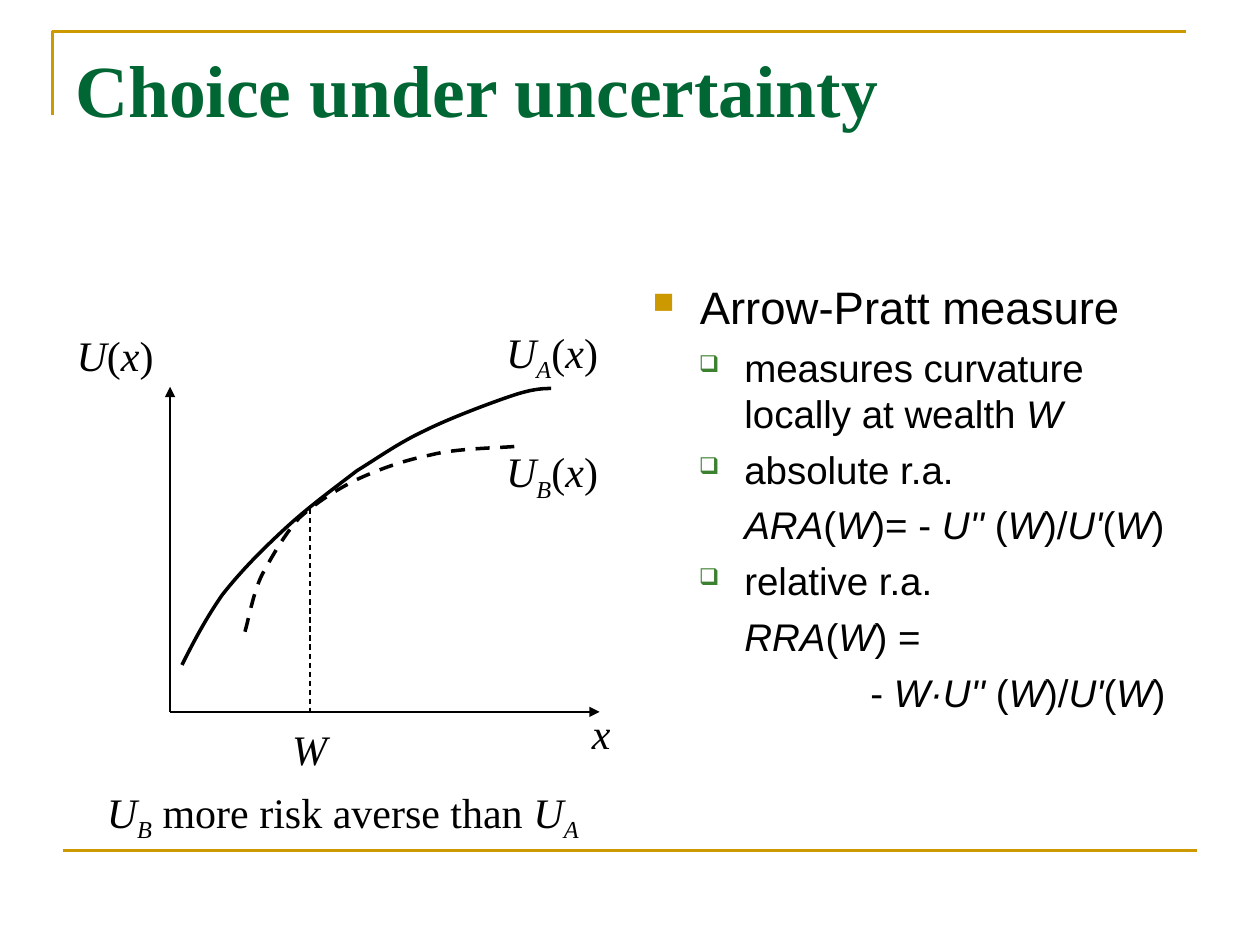
import pptx
import pptx.util
import pptx.dml.color
import pptx.enum.dml
import pptx.enum.shapes
import pptx.oxml
import pptx.oxml.ns
from pptx.util import Pt

GOLD, GREEN, BULLET_GREEN, BLACK = "CC9900", "006633", "3B812F", "000000"
SERIF, SANS = "Times New Roman", "Arial"

CURVE_A = [(67.7, 200.2), (74.9, 186.5), (82.1, 172.8), (91.4, 159.8),
           (101.5, 146.2), (114.5, 133.9), (127.4, 121.7),
           (139.7, 110.2), (154.8, 98.6), (167.8, 89.3),
           (180.7, 80.6), (191.5, 73.4), (206.6, 66.2),
           (221, 59), (244.8, 49.7), (257, 46.1),
           (269.3, 41.8), (275, 42.5), (279.4, 41.8)]
CURVE_B = [(103.7, 180.7), (106.6, 169.9), (108.7, 158.4), (114.5, 147.6),
           (119.5, 136.8), (126.7, 125.3), (135.4, 115.9),
           (144.7, 107.3), (155.5, 100.1), (167.8, 93.6),
           (180.7, 87.8), (195.1, 82.8), (210.2, 79.9),
           (225.4, 76.3), (250.6, 75.6), (259.2, 74.9)]
LABELS = [("*x*", 295.2, 221, 30, 36), ("*U*(*x*)", 0.7, 5, 66, 36),
          ("*W*", 123.8, 229.7, 42.5, 36),
          ("*U_A_*(*x*)", 246.2, 2.9, 74.2, 40.3),
          ("*U_B_*(*x*)", 246.2, 71.3, 74.2, 40.3),
          ("*U_B_* more risk averse than *U_A_*", 18, 265.7, 288.7, 40.3)]
SQUARE, BOX = ("■", GOLD, 65), ("❑", BULLET_GREEN, 60)
MEASURES = [("Arrow-Pratt measure", 26, 27, SQUARE),
            ("measures curvature locally at wealth *W*", 22, 52.5, BOX),
            ("absolute r.a.", 22, 52.5, BOX),
            ("*ARA*(*W*)= - *U''* (*W*)/*U'*(*W*)", 22, 52.5, None),
            ("relative r.a.", 22, 52.5, BOX),
            ("*RRA*(*W*) =", 22, 52.5, None),
            ("- *W·U''* (*W*)/*U'*(*W*)", 22, 124.5, None)]


def rgb(value):
    """Turn a hex string into a colour."""
    return pptx.dml.color.RGBColor.from_string(value)


def append_xml(parent, tag, **attributes):
    """Append a drawing element with the given attributes and return it."""
    element = pptx.oxml.parse_xml(f"<a:{tag} {pptx.oxml.ns.nsdecls('a')}/>")
    for key, value in attributes.items():
        element.set(key, str(value))
    parent.append(element)
    return element


def style_line(line, color, width, dashed=False):
    """Set the colour, width and dash of a line."""
    line.color.rgb = rgb(color)
    line.width = Pt(width)
    if dashed:
        line.dash_style = pptx.enum.dml.MSO_LINE.DASH


def add_line(slide, start, end, color, width, dashed=False, arrow=False):
    """Draw a straight line, with an arrowhead at its end if asked."""
    connector = slide.shapes.add_connector(
        pptx.enum.shapes.MSO_CONNECTOR.STRAIGHT, *map(Pt, start + end))
    style_line(connector.line, color, width, dashed)
    if arrow:
        append_xml(connector.line._get_or_add_ln(), "tailEnd", type="triangle")
    append_xml(connector._element.spPr, "effectLst")


def add_outline(slide, points, color, width, dashed=False):
    """Draw an open, unfilled path through the points."""
    builder = slide.shapes.build_freeform(*points[0], scale=Pt(1))
    builder.add_line_segments(points[1:], close=False)
    outline = builder.convert_to_shape()
    outline.fill.background()
    outline.shadow.inherit = False
    style_line(outline.line, color, width, dashed)
    return outline


def add_curve(slide, points, color, width, dashed=False):
    """Draw a Bézier curve from a start and triples of control points."""
    curve = add_outline(slide, points, color, width, dashed)
    segments = list(curve._element.iter(pptx.oxml.ns.qn("a:lnTo")))
    trace = segments[0].getparent()
    for first in range(0, len(segments), 3):
        bezier = append_xml(trace, "cubicBezTo")
        for segment in segments[first:first + 3]:
            bezier.append(segment[0])
            trace.remove(segment)


def write(paragraph, markup, font, size, color, bold=False):
    """Write text in which * toggles italic and _ toggles subscript."""
    for i, part in enumerate(markup.split("*")):
        for j, piece in enumerate(part.split("_")):
            if not piece:
                continue
            run = paragraph.add_run()
            run.text = piece
            run.font.name, run.font.size = font, Pt(size)
            run.font.color.rgb = rgb(color)
            run.font.bold, run.font.italic = bold, i % 2 == 1
            if j % 2:
                run.font._element.set("baseline", "-25000")


def add_text_frame(slide, left, top, width, height, wrap=True):
    """Add a text box and return its text frame."""
    box = slide.shapes.add_textbox(Pt(left), Pt(top), Pt(width), Pt(height))
    box.text_frame.word_wrap = wrap
    return box.text_frame


def add_frame(slide, left, top, width, height):
    """Draw the gold corner above and the gold rule below."""
    corner = [(left, top + 48), (left, top), (left + width, top)]
    add_outline(slide, corner, GOLD, 1.5)
    bottom = top + height
    add_line(slide, (left + 6, bottom), (left + 6 + width, bottom), GOLD, 1.5)


def add_title(slide, left, top, width, height):
    """Write the slide title."""
    title = add_text_frame(slide, left, top, width, height)
    write(title.paragraphs[0], "Choice under uncertainty", SERIF, 42, GREEN, True)


def add_measures(slide, left, top, width, height):
    """Write the bulleted list of risk-aversion measures."""
    frame = add_text_frame(slide, left, top, width, height)
    for index, (markup, size, margin, bullet) in enumerate(MEASURES):
        paragraph = frame.add_paragraph() if index else frame.paragraphs[0]
        paragraph.space_before = Pt(size / 4)
        properties = paragraph._p.get_or_add_pPr()
        properties.set("marL", str(Pt(margin)))
        if bullet:
            symbol, color, percent = bullet
            properties.set("indent", str(Pt(-27 if size == 26 else -26)))
            append_xml(append_xml(properties, "buClr"), "srgbClr", val=color)
            append_xml(properties, "buSzPct", val=percent * 1000)
            append_xml(properties, "buChar", char=symbol)
        write(paragraph, markup, SANS, size, BLACK)


def add_utility_graph(slide, left, top):
    """Draw the axes, both utility curves, the wealth line and the labels."""
    def place(*points):
        return [(left + x, top + y) for x, y in points]

    origin, x_end, y_end = place((61.2, 226.8), (306.7, 226.8), (61.2, 41))
    for end in (x_end, y_end):
        add_line(slide, origin, end, BLACK, 0.75, arrow=True)
    add_curve(slide, place(*CURVE_A), BLACK, 2)
    add_curve(slide, place(*CURVE_B), BLACK, 2, dashed=True)
    add_line(slide, *place((141.1, 110.9), (141.1, 229)), BLACK, 0.75, dashed=True)
    for markup, x, y, width, height in LABELS:
        label = add_text_frame(slide, left + x, top + y, width, height, wrap=False)
        label.paragraphs[0].space_before = Pt(15)
        write(label.paragraphs[0], markup, SERIF, 24, BLACK)


def main():
    """Build the slide and save it."""
    deck = pptx.Presentation()
    deck.slide_width, deck.slide_height = Pt(720), Pt(540)
    slide = deck.slides.add_slide(deck.slide_layouts[6])
    add_frame(slide, 30, 18, 648, 468)
    add_title(slide, 36, 21.6, 648, 90)
    add_measures(slide, 365.8, 156.2, 321, 324)
    add_utility_graph(slide, 36, 180)
    deck.save("out.pptx")


if __name__ == "__main__":
    main()
